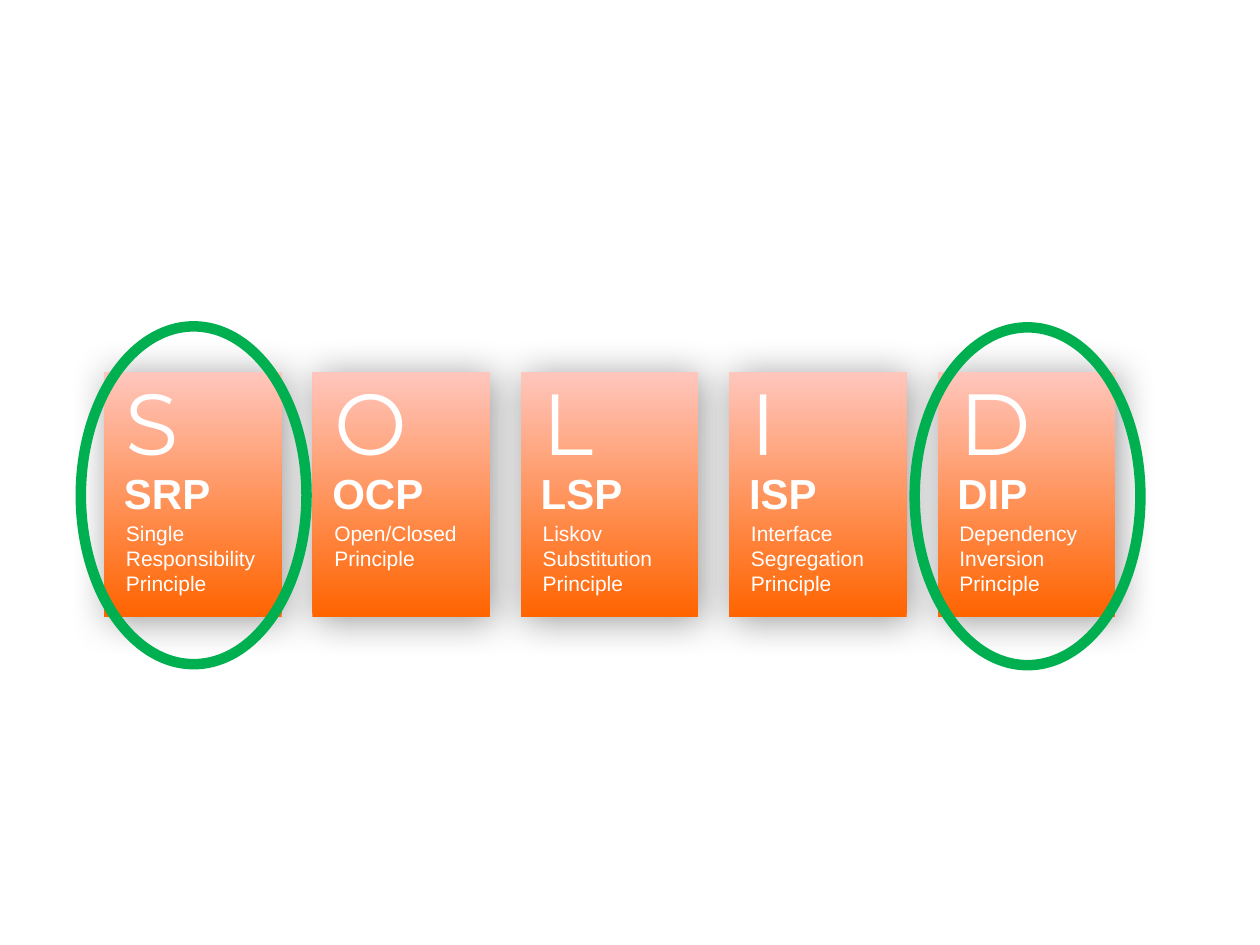
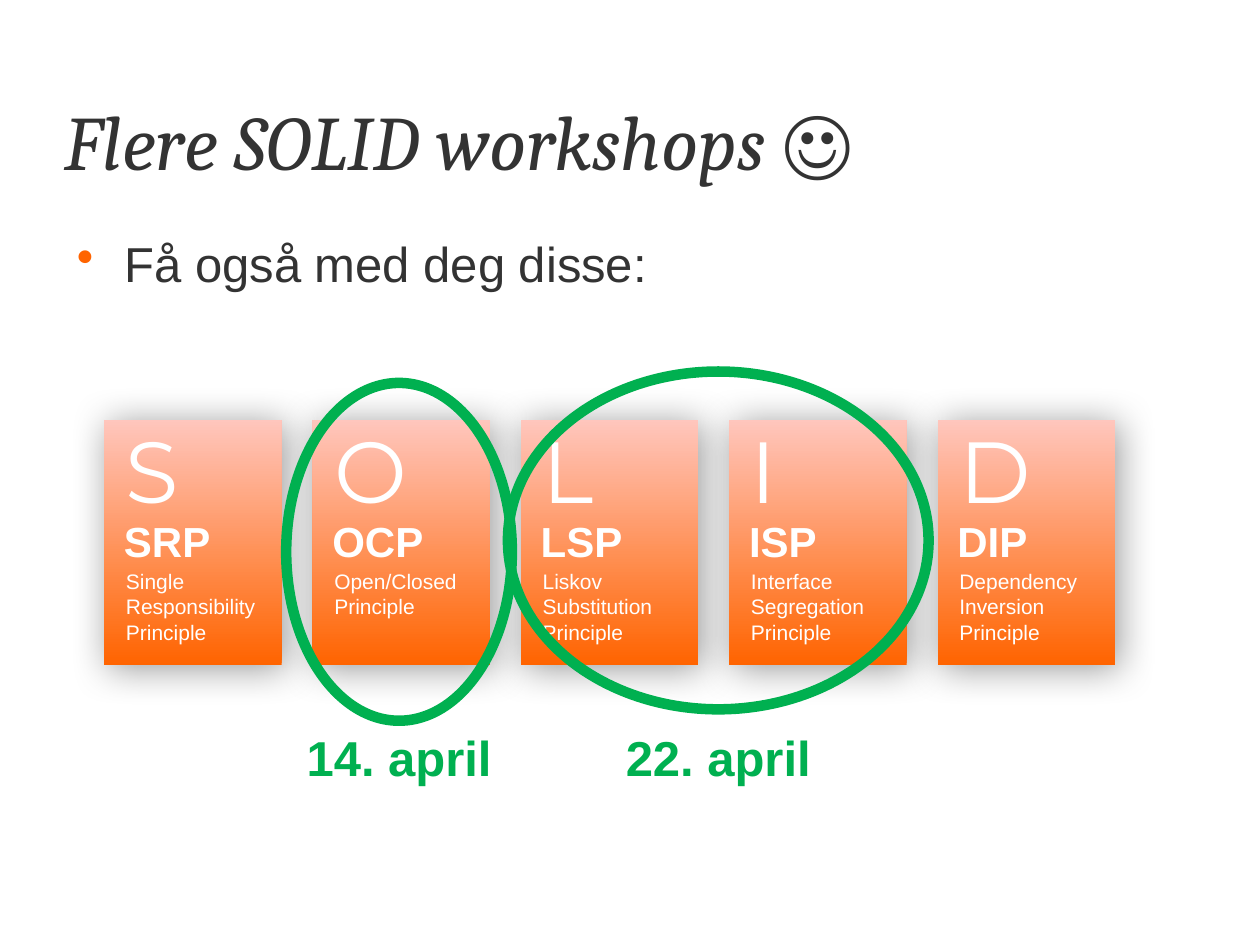
from dataclasses import dataclass

from lxml import etree
from pptx import Presentation
from pptx.dml.color import RGBColor
from pptx.enum import shapes, text
from pptx.oxml import ns
from pptx.util import Cm, Pt


@dataclass(frozen=True)
class Theme:
    """Colours, fonts and type sizes shared by the slides."""
    orange: str = "FF6400"
    blush: str = "FFC6BD"
    green: str = "00B050"
    ink: str = "333333"
    white: str = "FFFFFF"
    shade: str = "000000"
    sans: str = "Arial"
    serif: str = "Cambria"
    display: str = "Montserrat"
    initial: float = 49.5
    title: float = 44
    body: float = 28
    acronym: float = 24
    caption: float = 12


THEME = Theme()
ROW_LEFT = 2.1
CARD_PITCH, CARD_WIDTH, CARD_HEIGHT = 4.2, 3.58, 4.95
RING_HEIGHT = 6.81
DATE_DROP, DATE_WIDTH = 6.08, 4.5

PRINCIPLES = [
    ("S", "SRP", "Single Responsibility Principle"),
    ("O", "OCP", "Open/Closed Principle"),
    ("L", "LSP", "Liskov\nSubstitution Principle"),
    ("I", "ISP", "Interface Segregation Principle"),
    ("D", "DIP", "Dependency Inversion\nPrinciple"),
]


def add_child(parent, tag, **attributes):
    """Append a DrawingML element and return it."""
    child = etree.SubElement(parent, ns.qn(tag))
    for name, value in attributes.items():
        child.set(name, str(value))
    return child


def add_words(slide, box, words, size, colour, face=THEME.sans, bold=False, italic=False):
    """Write wrapped text in a box given in centimetres."""
    frame = slide.shapes.add_textbox(*map(Cm, box)).text_frame
    frame.word_wrap = True
    frame.text = words
    for paragraph in frame.paragraphs:
        font = paragraph.font
        font.name, font.size = face, Pt(size)
        font.bold, font.italic = bold, italic
        font.color.rgb = RGBColor.from_string(colour)
    return frame


def cast_shadow(card):
    """Give a card its soft diagonal shadow."""
    card.shadow.inherit = False
    effects = card._element.spPr.find(ns.qn("a:effectLst"))
    shadow = add_child(effects, "a:outerShdw", blurRad=Pt(22), dist=Pt(3),
                       dir=45 * 60000, algn="tl", rotWithShape=0)
    shade = add_child(shadow, "a:srgbClr", val=THEME.shade)
    add_child(shade, "a:alpha", val=40000)


def add_card(slide, left, top, initial, acronym, principle):
    """Draw one principle card with its three levels of text."""
    card = slide.shapes.add_shape(shapes.MSO_SHAPE.RECTANGLE, Cm(left), Cm(top),
                                  Cm(CARD_WIDTH), Cm(CARD_HEIGHT))
    card.fill.gradient()
    card.fill.gradient_angle = 90
    for stop, colour in zip(card.fill.gradient_stops, (THEME.orange, THEME.blush)):
        stop.color.rgb = RGBColor.from_string(colour)
    card.line.fill.background()
    cast_shadow(card)
    add_words(slide, (left + 0.19, top - 0.18, 3.2, 2.36), initial,
              THEME.initial, THEME.white, THEME.display)
    add_words(slide, (left + 0.15, top + 1.8, 3.2, 1.27), acronym,
              THEME.acronym, THEME.white, bold=True)
    add_words(slide, (left + 0.19, top + 2.88, 3.2, 1.8), principle,
              THEME.caption, THEME.white)


def add_card_row(slide, top):
    """Lay out the five cards at an equal pitch."""
    for index, principle in enumerate(PRINCIPLES):
        add_card(slide, ROW_LEFT + index * CARD_PITCH, top, *principle)


def add_ring(slide, left, top, width=4.55):
    """Circle the cards that are in focus."""
    ring = slide.shapes.add_shape(shapes.MSO_SHAPE.OVAL, Cm(left), Cm(top),
                                  Cm(width), Cm(RING_HEIGHT))
    ring.shadow.inherit = False
    ring.fill.background()
    ring.line.color.rgb = RGBColor.from_string(THEME.green)
    ring.line.width = Pt(6)


def add_date(slide, centre, row_top, date):
    """Write a workshop date centred below its ring."""
    box = (centre - DATE_WIDTH / 2, row_top + DATE_DROP, DATE_WIDTH, 1.45)
    frame = add_words(slide, box, date, THEME.body, THEME.green, bold=True)
    frame.paragraphs[0].alignment = text.PP_ALIGN.CENTER


def add_title(slide, box, words, smiley):
    """Write the italic title followed by an upright smiley."""
    frame = add_words(slide, box, words, THEME.title, THEME.ink, THEME.serif, italic=True)
    frame.vertical_anchor = text.MSO_ANCHOR.MIDDLE
    frame.margin_left = frame.margin_right = frame.margin_top = frame.margin_bottom = 0
    run = frame.paragraphs[0].add_run()
    run.text = smiley
    run.font.italic = False


def add_bullet(slide, box, words):
    """Write a bulleted body line."""
    paragraph = add_words(slide, box, words, THEME.body, THEME.ink).paragraphs[0]
    paragraph.line_spacing = 1.05
    paragraph.space_after = Pt(8)
    properties = paragraph._p.get_or_add_pPr()
    properties.set("marL", str(Cm(0.96)))
    properties.set("indent", str(-Cm(0.96)))
    bullet = etree.Element(ns.qn("a:buClr"))
    add_child(bullet, "a:srgbClr", val=THEME.orange)
    mark = etree.Element(ns.qn("a:buChar"), char="•")
    defaults = properties.find(ns.qn("a:defRPr"))
    defaults.addprevious(bullet)
    defaults.addprevious(mark)


def build_focus_slide(slide):
    """Show the principles with the first and last circled."""
    row_top = 7.49
    add_card_row(slide, row_top)
    add_ring(slide, 1.63, row_top - 0.91)
    add_ring(slide, 18.44, row_top - 0.89)


def build_workshops_slide(slide):
    """Show the coming workshops and their dates."""
    row_top = 8.46
    add_card_row(slide, row_top)
    workshops = [(5.77, 0.74, 4.55, "14. april"), (10.24, 0.97, 8.48, "22. april")]
    for left, rise, width, _ in workshops:
        add_ring(slide, left, row_top - rise, width)
    add_bullet(slide, (1.3, 4.52, 22.78, 12.8), "Få også med deg disse:")
    add_title(slide, (1.3, 1.32, 20.19, 3), "Flere SOLID workshops ", "☺")
    for left, _, width, date in workshops:
        add_date(slide, left + width / 2, row_top, date)


def main():
    """Build and save the presentation."""
    deck = Presentation()
    deck.slide_width, deck.slide_height = Cm(25.4), Cm(19.05)
    for build in (build_focus_slide, build_workshops_slide):
        build(deck.slides.add_slide(deck.slide_layouts[6]))
    deck.save("out.pptx")


if __name__ == "__main__":
    main()
